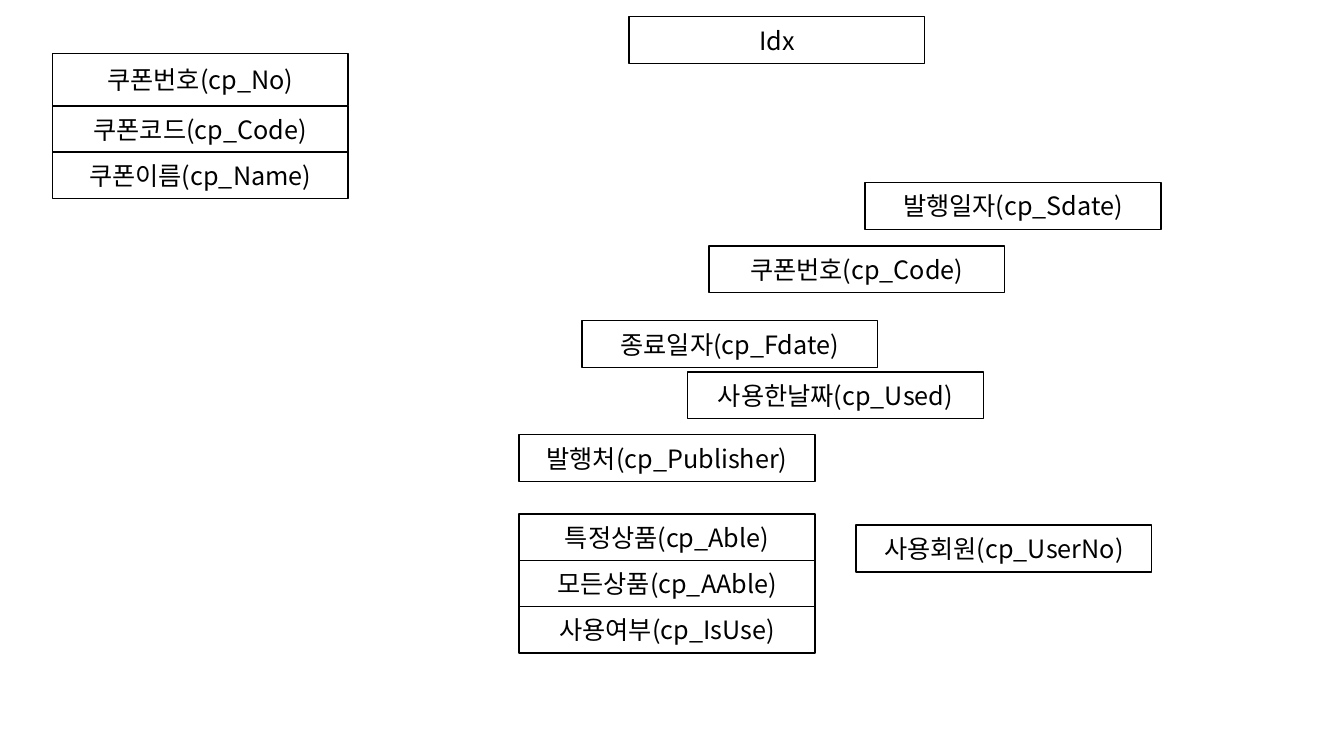
from lxml import etree
from pptx import Presentation
from pptx import util as u
from pptx.dml import color
from pptx.enum import shapes, text
from pptx.oxml import ns

COLORS = {"paper": "FFFFFF", "ink": "000000"}
FONT = {"name": "Noto Sans CJK KR", "size": u.Pt(18), "bold": False}
FRAME = {"word_wrap": True, "vertical_anchor": text.MSO_ANCHOR.MIDDLE}
GRID = 100
FIELD_W, FIELD_H, PITCH = 22, 6.2, 6.1


def rgb(name):
    return color.RGBColor.from_string(COLORS[name])


def apply(target, values):
    for key, value in values.items():
        setattr(target, key, value)


class Diagram:
    def __init__(self, prs):
        self.slide = prs.slides.add_slide(prs.slide_layouts[6])
        self.col = prs.slide_width / GRID
        self.row = prs.slide_height / GRID

    def field(self, label, x, y, h=FIELD_H):
        sp = self.slide.shapes.add_shape(
            shapes.MSO_SHAPE.RECTANGLE,
            int(x * self.col), int(y * self.row),
            int(FIELD_W * self.col), int(h * self.row))
        sp.shadow.inherit = False
        sp.fill.solid()
        sp.fill.fore_color.rgb = rgb("paper")
        sp.line.color.rgb = rgb("ink")
        sp.line.width = u.Pt(1)
        tf = sp.text_frame
        apply(tf, FRAME)
        p = tf.paragraphs[0]
        p.alignment = text.PP_ALIGN.CENTER
        r = p.add_run()
        r.text = label
        apply(r.font, FONT)
        r.font.color.rgb = rgb("ink")
        ea = etree.SubElement(r.font._element, ns.qn("a:ea"))
        ea.set("typeface", FONT["name"])

    def stack(self, labels, x, y):
        for i, label in enumerate(labels):
            self.field(label, x, y + i * PITCH)


def main():
    prs = Presentation()
    prs.slide_width, prs.slide_height = u.Inches(13.33), u.Inches(7.5)
    s = Diagram(prs)

    s.field("쿠폰번호(cp_No)", 3.9, 7.07, 6.93)
    s.stack(["쿠폰코드(cp_Code)", "쿠폰이름(cp_Name)"], 3.9, 14)
    s.stack(["특정상품(cp_Able)", "모든상품(cp_AAble)", "사용여부(cp_IsUse)"], 38.63, 68)

    for label, x, y in [
        ("Idx", 46.81, 2.2),
        ("발행일자(cp_Sdate)", 64.37, 24.13),
        ("쿠폰번호(cp_Code)", 52.74, 32.53),
        ("종료일자(cp_Fdate)", 43.29, 42.4),
        ("사용한날짜(cp_Used)", 51.16, 49.2),
        ("발행처(cp_Publisher)", 38.63, 57.47),
        ("사용회원(cp_UserNo)", 63.69, 69.47),
    ]:
        s.field(label, x, y)

    prs.save("out.pptx")


if __name__ == "__main__":
    main()
